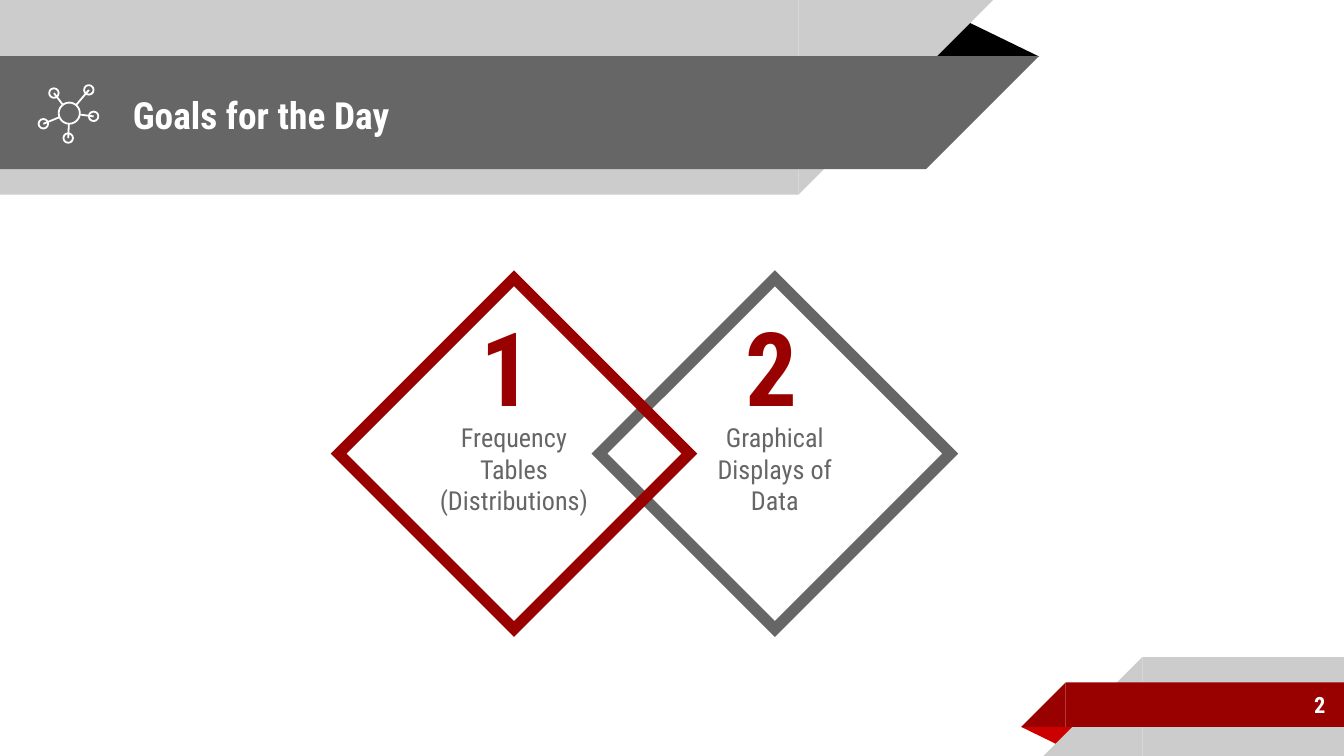
from dataclasses import dataclass
from math import hypot

from lxml import etree
from pptx import Presentation
from pptx.dml.color import RGBColor
from pptx.enum.shapes import MSO_CONNECTOR, MSO_SHAPE
from pptx.enum.text import MSO_ANCHOR, PP_ALIGN
from pptx.oxml.ns import qn
from pptx.util import Cm, Pt

RECTANGLE = MSO_SHAPE.RECTANGLE
RIGHT_TRIANGLE = MSO_SHAPE.RIGHT_TRIANGLE
TRIANGLE = MSO_SHAPE.ISOSCELES_TRIANGLE
DIAMOND = MSO_SHAPE.DIAMOND
OVAL = MSO_SHAPE.OVAL
STRAIGHT = MSO_CONNECTOR.STRAIGHT
LEFT, CENTER, RIGHT = PP_ALIGN.LEFT, PP_ALIGN.CENTER, PP_ALIGN.RIGHT
MIDDLE, BOTTOM = MSO_ANCHOR.MIDDLE, MSO_ANCHOR.BOTTOM

SLIDE_WIDTH, SLIDE_HEIGHT = 25.4, 14.29
TITLE_ONLY = 5


@dataclass(frozen=True)
class Theme:
    font: str = "Roboto Condensed"
    white: RGBColor = RGBColor(0xFF, 0xFF, 0xFF)
    black: RGBColor = RGBColor(0x00, 0x00, 0x00)
    light: RGBColor = RGBColor(0xCC, 0xCC, 0xCC)
    dark: RGBColor = RGBColor(0x66, 0x66, 0x66)
    red: RGBColor = RGBColor(0x99, 0x00, 0x00)
    bright_red: RGBColor = RGBColor(0xCC, 0x00, 0x00)
    title_size: int = 20
    goal_size: int = 14
    number_size: int = 55
    page_size: int = 12
    diamond_line: int = 6
    icon_line: float = 0.96


THEME = Theme()


def add_preset(slide, kind, left, top, width, height, fill=None, line=None, line_width=0):
    shape = slide.shapes.add_shape(kind, Cm(left), Cm(top), Cm(width), Cm(height))
    shape.shadow.inherit = False
    if fill is None:
        shape.fill.background()
    else:
        shape.fill.solid()
        shape.fill.fore_color.rgb = fill
    if line is None:
        shape.line.fill.background()
    else:
        shape.line.color.rgb = line
        shape.line.width = Pt(line_width)
    return shape


def write(shape, text, size, color, bold=False, align=LEFT, anchor=MIDDLE,
          side_inset=0.25, top_inset=0.25):
    frame = shape.text_frame
    frame.word_wrap = True
    frame.vertical_anchor = anchor
    frame.margin_left = frame.margin_right = Cm(side_inset)
    frame.margin_top, frame.margin_bottom = Cm(top_inset), Cm(0.25)
    paragraph = frame.paragraphs[0]
    paragraph.alignment = align
    run = paragraph.add_run()
    run.text = text
    run.font.name = THEME.font
    run.font.size = Pt(size)
    run.font.bold = bold
    run.font.color.rgb = color


def add_text(slide, left, top, width, height, *content, **style):
    box = slide.shapes.add_textbox(Cm(left), Cm(top), Cm(width), Cm(height))
    write(box, *content, **style)


def add_header_band(slide, top, width, height, color):
    """Band from the left edge, with a slanted right end."""
    add_preset(slide, RECTANGLE, 0, top, width, height, color)
    end = add_preset(slide, RIGHT_TRIANGLE, width, top, height, height, color)
    end.rotation = 90


def add_footer_band(slide, left, top, height, color):
    """Band to the right edge, with a slanted left end."""
    add_preset(slide, RECTANGLE, left, top, SLIDE_WIDTH - left, height, color)
    end = add_preset(slide, RIGHT_TRIANGLE, left - height, top, height, height, color)
    end.rotation = 270


def add_fold(slide, left, top, width, height, color, rotation=0):
    fold = add_preset(slide, TRIANGLE, left, top, width, height, color)
    fold.adjustments[0] = 0.324
    fold.rotation = rotation


def add_title(slide, text):
    title = slide.shapes.title
    title.left, title.top = Cm(2.26), Cm(1.1)
    title.width, title.height = Cm(14.6), Cm(2.13)
    write(title, text, THEME.title_size, THEME.white, bold=True)


def add_goal(slide, left, text, outline, fill=None):
    diamond = add_preset(slide, DIAMOND, left, 5.26, 6.63, 6.63,
                         fill, outline, THEME.diamond_line)
    etree.SubElement(diamond.line._get_or_add_ln(), qn("a:miter"), lim="800000")
    # The deeper top inset leaves room for the number above the text.
    write(diamond, text, THEME.goal_size, THEME.dark, align=CENTER,
          side_inset=0.2, top_inset=0.83)


def add_circle(slide, center_x, center_y, radius):
    add_preset(slide, OVAL, center_x - radius, center_y - radius, 2 * radius, 2 * radius,
               line=THEME.white, line_width=THEME.icon_line)


def add_spoke(slide, start_x, start_y, end_x, end_y):
    spoke = slide.shapes.add_connector(
        STRAIGHT, Cm(start_x), Cm(start_y), Cm(end_x), Cm(end_y))
    spoke.line.color.rgb = THEME.white
    spoke.line.width = Pt(THEME.icon_line)
    etree.SubElement(spoke._element.spPr, qn("a:effectLst"))


def add_network_icon(slide):
    hub_x, hub_y, hub_radius = 1.31, 2.14, 0.2
    nodes = [(1.68, 1.7), (1.02, 1.76), (0.82, 2.34), (1.29, 2.61), (1.77, 2.2)]
    add_circle(slide, hub_x, hub_y, hub_radius)
    for x, y in nodes:
        add_circle(slide, x, y, 0.09)
        reach = hub_radius / hypot(x - hub_x, y - hub_y)
        add_spoke(slide, hub_x + reach * (x - hub_x), hub_y + reach * (y - hub_y), x, y)


def main():
    presentation = Presentation()
    presentation.slide_width, presentation.slide_height = Cm(SLIDE_WIDTH), Cm(SLIDE_HEIGHT)
    slide = presentation.slides.add_slide(presentation.slide_layouts[TITLE_ONLY])

    add_fold(slide, 17.48, 0.36, 2.16, 0.71, THEME.black)
    add_header_band(slide, 0, 15.09, 3.68, THEME.light)
    add_header_band(slide, 1.06, 17.5, 2.14, THEME.dark)
    add_fold(slide, 19.3, 13.74, 1.09, 0.36, THEME.bright_red, rotation=180)
    add_footer_band(slide, 21.59, 12.42, 1.87, THEME.light)
    add_footer_band(slide, 20.14, 12.9, 0.84, THEME.red)

    # Move the title in front of the bands.
    slide.shapes._spTree.append(slide.shapes.title._element)
    add_title(slide, "Goals for the Day")
    add_text(slide, 21.16, 12.88, 4.14, 0.89, "2", THEME.page_size, THEME.white,
             bold=True, align=RIGHT)

    add_goal(slide, 11.33, "Graphical Displays of Data", THEME.dark, THEME.white)
    add_goal(slide, 6.4, "Frequency Tables (Distributions)", THEME.red)
    add_network_icon(slide)
    for number, left in (("1", 8.84), ("2", 13.84)):
        add_text(slide, left, 5.54, 1.37, 2.79, number, THEME.number_size, THEME.red,
                 bold=True, anchor=BOTTOM)

    presentation.save("out.pptx")


if __name__ == "__main__":
    main()
